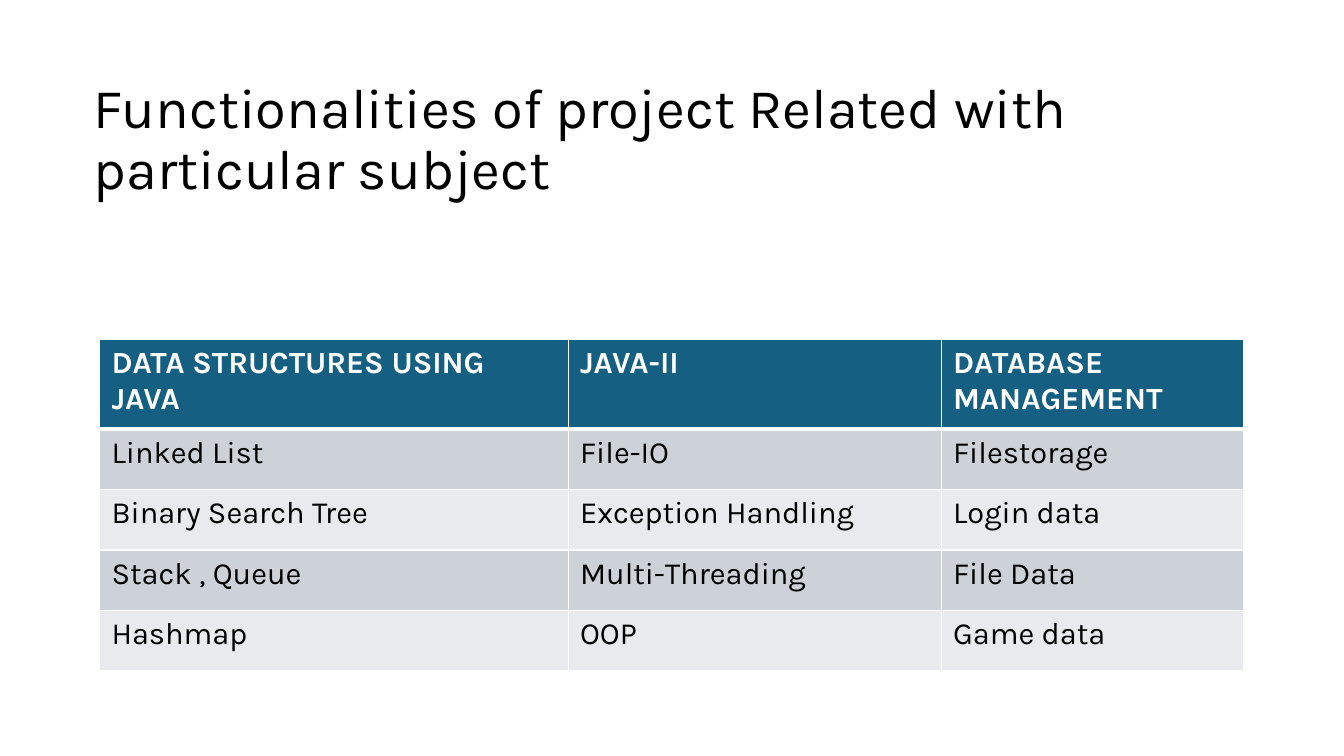
from dataclasses import dataclass

from pptx import Presentation
from pptx import util as u
from pptx.dml.color import RGBColor
from pptx.enum import shapes, text
from pptx.oxml import parse_xml
from pptx.oxml.ns import nsdecls


@dataclass(frozen=True)
class Theme:
    font: str = "Karla"
    title_size: int = 40
    table_size: int = 22
    ink: str = "000000"
    paper: str = "FFFFFF"
    header: str = "156082"
    bands: tuple = ("CCD2D8", "E8EAED")


SUBJECTS = (
    ("DATA STRUCTURES USING JAVA", "JAVA-II", "DATABASE MANAGEMENT"),
    ("Linked List", "File-IO", "Filestorage"),
    ("Binary Search Tree", "Exception Handling", "Login data"),
    ("Stack , Queue", "Multi-Threading", "File Data"),
    ("Hashmap", "OOP", "Game data"),
)
COLUMN_WIDTHS = (11.81, 9.4, 7.62)
ROW_HEIGHTS = (2.26,) + (1.52,) * 4


def write_text(frame, content, *, font, size, color, bold=False, spacing=None):
    paragraph = frame.paragraphs[0]
    paragraph.alignment = text.PP_ALIGN.LEFT
    if spacing:
        paragraph.line_spacing = spacing
    run = paragraph.add_run()
    run.text = content
    run.font.name = font
    run.font.size = u.Pt(size)
    run.font.bold = bold
    run.font.color.rgb = RGBColor.from_string(color)


def paint(fill, color):
    fill.solid()
    fill.fore_color.rgb = RGBColor.from_string(color)


def set_borders(cell, color, widths):
    properties = cell._tc.get_or_add_tcPr()
    for index, (side, width) in enumerate(widths.items()):
        border = parse_xml(
            f'<a:{side} {nsdecls("a")} w="{u.Pt(width)}"><a:solidFill>'
            f'<a:srgbClr val="{color}"/></a:solidFill></a:{side}>'
        )
        properties.insert(index, border)


class SlideBuilder:
    def __init__(self, slide, theme):
        self.slide = slide
        self.theme = theme

    def background(self):
        paint(self.slide.background.fill, self.theme.paper)

    def title(self, content, left, top, width, height):
        title = self.slide.shapes.title
        title.left, title.top = u.Cm(left), u.Cm(top)
        title.width, title.height = u.Cm(width), u.Cm(height)
        frame = title.text_frame
        frame.word_wrap = True
        frame.auto_size = text.MSO_AUTO_SIZE.NONE
        frame.vertical_anchor = text.MSO_ANCHOR.MIDDLE
        write_text(frame, content, font=self.theme.font, size=self.theme.title_size,
                   color=self.theme.ink, spacing=0.9)

    def banner(self, width, height):
        banner = self.slide.shapes.add_shape(
            shapes.MSO_SHAPE.RECTANGLE, 0, 0, width, u.Cm(height))
        banner.shadow.inherit = False
        paint(banner.fill, self.theme.paper)
        banner.line.fill.background()
        self.slide.shapes.title.element.addprevious(banner.element)

    def table(self, rows, left, top, column_widths, row_heights):
        table = self.slide.shapes.add_table(
            len(rows), len(column_widths), u.Cm(left), u.Cm(top),
            u.Cm(sum(column_widths)), u.Cm(sum(row_heights))).table
        for column, width in zip(table.columns, column_widths):
            column.width = u.Cm(width)
        for row, height in zip(table.rows, row_heights):
            row.height = u.Cm(height)
        for row_index, row in enumerate(rows):
            for column_index, content in enumerate(row):
                self.cell(table.cell(row_index, column_index), content, row_index)

    def cell(self, cell, content, row_index):
        theme = self.theme
        is_header = row_index == 0
        cell.margin_left = cell.margin_right = u.Cm(0.3)
        cell.margin_top = cell.margin_bottom = u.Cm(0.15)
        paint(cell.fill, theme.header if is_header else theme.bands[(row_index - 1) % 2])
        set_borders(cell, theme.paper, {
            "lnL": 1, "lnR": 1,
            "lnT": 3 if row_index == 1 else 1,
            "lnB": 3 if is_header else 1,
        })
        write_text(cell.text_frame, content, font=theme.font, size=theme.table_size,
                   color=theme.paper if is_header else theme.ink, bold=is_header)


def main():
    presentation = Presentation()
    presentation.slide_width = u.Cm(33.87)
    presentation.slide_height = u.Cm(19.05)
    slide = presentation.slides.add_slide(presentation.slide_layouts[5])
    builder = SlideBuilder(slide, Theme())
    builder.background()
    builder.banner(presentation.slide_width, 7.06)
    builder.title("Functionalities of project Related with particular subject",
                  2.11, 1.3, 27.69, 4.5)
    builder.table(SUBJECTS, 2.51, 8.56, COLUMN_WIDTHS, ROW_HEIGHTS)
    presentation.save("out.pptx")


if __name__ == "__main__":
    main()
